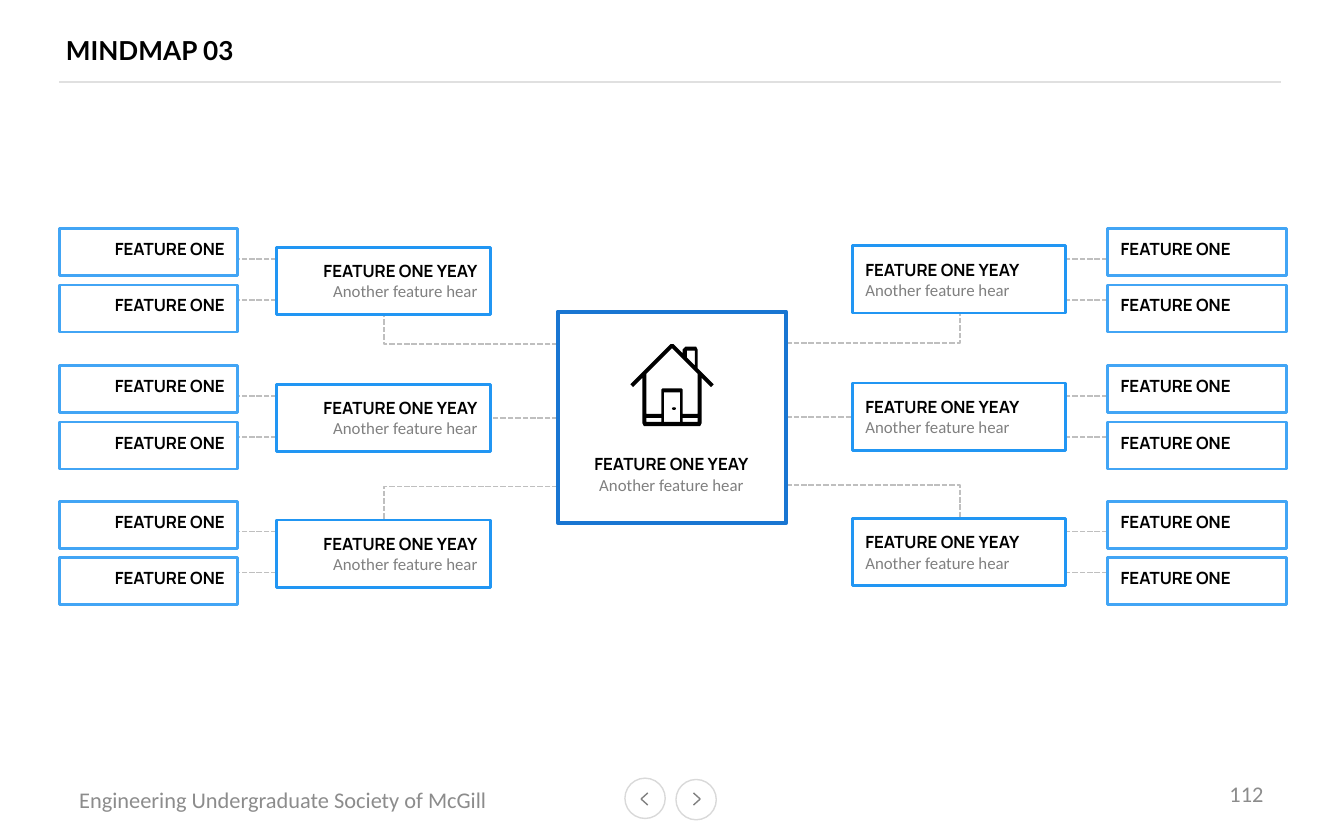
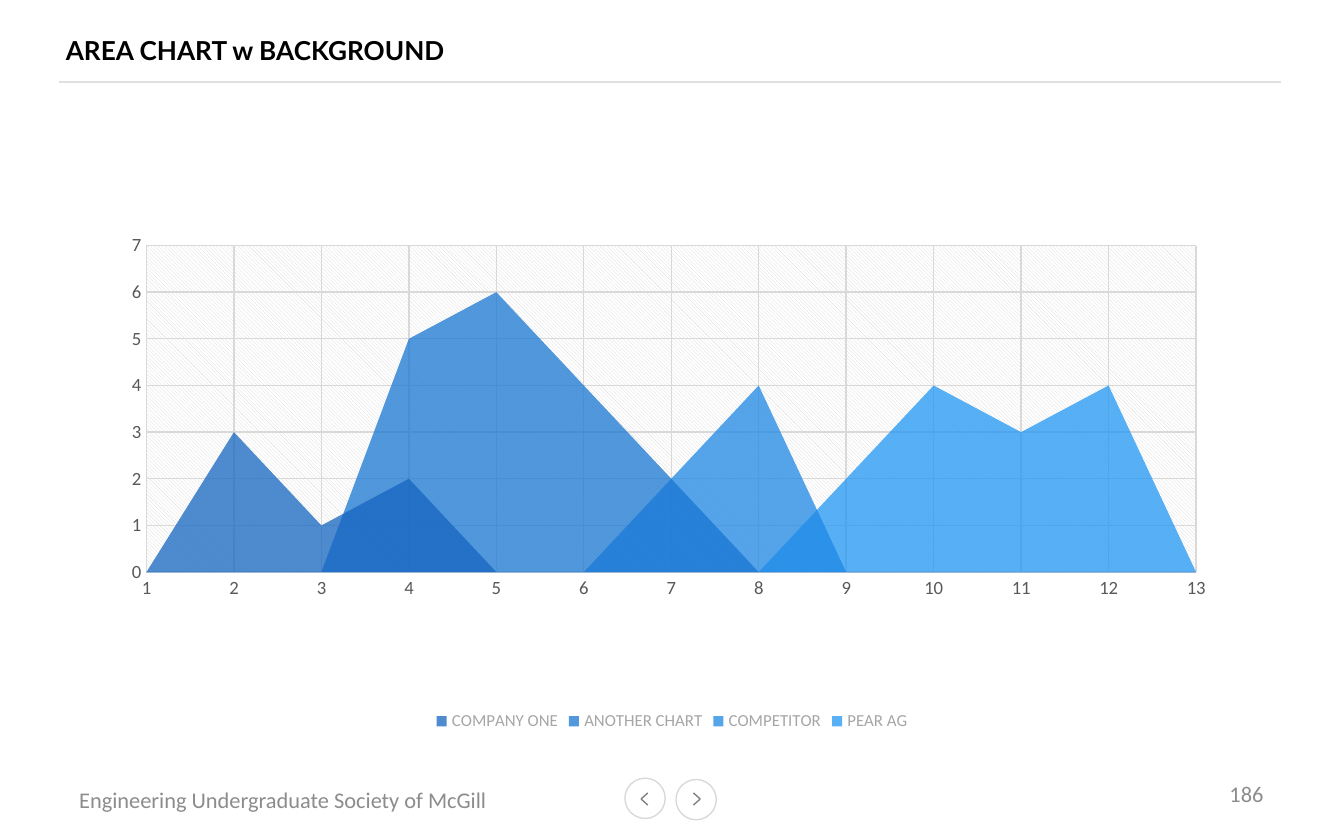
from dataclasses import dataclass

from lxml import etree
from pptx import Presentation
from pptx import util as u
from pptx.chart.data import CategoryChartData
from pptx.dml.color import RGBColor
from pptx.enum import chart as charts, dml, shapes, text
from pptx.oxml import parse_xml
from pptx.oxml.ns import nsdecls, qn


@dataclass(frozen=True)
class Theme:
    black: str = "000000"
    white: str = "FFFFFF"
    rule: str = "E0E0E0"
    grid: str = "D9D9D9"
    link: str = "BFBFBF"
    legend: str = "A6A6A6"
    footer: str = "8C8C8C"
    caption: str = "808080"
    axis: str = "595959"
    hub: str = "1976D2"
    branch: str = "2196F3"
    leaf: str = "42A5F5"
    series: tuple = ("1565C0", "1976D2", "1E88E5", "2196F3")
    title_font: str = "Lato"
    label_font: str = "Manrope"
    body_font: str = "Calibri"
    title_size: int = 14
    footer_size: int = 12
    axis_size: int = 10
    label_size: int = 9


theme = Theme()
rgb = RGBColor.from_string
LEFT, CENTER, RIGHT = text.PP_ALIGN.LEFT, text.PP_ALIGN.CENTER, text.PP_ALIGN.RIGHT
TOP, MIDDLE = text.MSO_ANCHOR.TOP, text.MSO_ANCHOR.MIDDLE


def write(box, lines, align=LEFT, anchor=TOP, inset=(0.1, 0.05), grow=False):
    """Fill a box with lines of (wording, font, size, colour, bold)."""
    frame = box.text_frame
    frame.word_wrap = True
    frame.auto_size = (text.MSO_AUTO_SIZE.SHAPE_TO_FIT_TEXT if grow
                       else text.MSO_AUTO_SIZE.NONE)
    frame.vertical_anchor = anchor
    frame.margin_left = frame.margin_right = u.Inches(inset[0])
    frame.margin_top = frame.margin_bottom = u.Inches(inset[1])
    for index, (wording, font, size, color, bold) in enumerate(lines):
        para = frame.add_paragraph() if index else frame.paragraphs[0]
        para.text = wording
        para.alignment = align
        para.font.name, para.font.size, para.font.bold = font, u.Pt(size), bold
        para.font.color.rgb = rgb(color)


def draw_line(page, start, end, color, width=0.75, dashed=False, bent=False):
    """Draw a line; a bent one leaves the start horizontally and turns once."""
    kind = shapes.MSO_CONNECTOR.ELBOW if bent else shapes.MSO_CONNECTOR.STRAIGHT
    line = page.shapes.add_connector(kind, *map(u.Inches, (*start, *end)))
    line.line.color.rgb = rgb(color)
    line.line.width = u.Pt(width)
    if dashed:
        line.line.dash_style = dml.MSO_LINE.SQUARE_DOT
    properties = line._element.spPr
    if bent:
        properties.find(qn("a:prstGeom")).set("prst", "bentConnector2")
    etree.SubElement(properties, qn("a:effectLst"))


deck = Presentation()
deck.slide_width, deck.slide_height = u.Inches(10), u.Inches(6.25)

# Shared frame: title, rule, footer, arrows and page number
pages = []
for title, number in (("MINDMAP 03", "112"), ("AREA CHART w BACKGROUND", "186")):
    page = deck.slides.add_slide(deck.slide_layouts[6])
    pages.append(page)
    draw_line(page, (9.53, 0.61), (0.44, 0.61), theme.rule)
    for place, wording, font, size, color, align, inset in (
        ((0.49, 0.16, 6.67, 0.43), title, theme.title_font, theme.title_size,
         theme.black, LEFT, (0, 0)),
        ((0.49, 5.8, 3.39, 0.3), "Engineering Undergraduate Society of McGill",
         theme.body_font, theme.footer_size, theme.footer, LEFT, (0.1, 0.05)),
        ((7.17, 5.74, 2.33, 0.33), number, theme.body_font, theme.footer_size,
         theme.footer, RIGHT, (0.1, 0.05)),
    ):
        box = page.shapes.add_textbox(*map(u.Inches, place))
        write(box, [(wording, font, size, color, font == theme.title_font)],
              align, MIDDLE, inset)
    for left, top, tip, tail in ((4.65, 5.79, 4.77, 4.82), (5.03, 5.8, 5.21, 5.16)):
        button = page.shapes.add_shape(
            shapes.MSO_SHAPE.OVAL, *map(u.Inches, (left, top, 0.3, 0.3)))
        button.shadow.inherit = False
        button.fill.solid()
        button.fill.fore_color.rgb = rgb(theme.white)
        button.line.color.rgb = rgb(theme.grid)
        button.line.width = u.Pt(0.75)
        for tail_y in (5.9, 5.99):
            draw_line(page, (tip, 5.945), (tail, tail_y), theme.caption)

mindmap, area_page = pages

# Mind map: rows, and the two mirrored sides
label = ("FEATURE ONE", theme.label_font, theme.label_size, theme.black, True)
feature = [
    ("FEATURE ONE YEAY", *label[1:]),
    ("Another feature hear", theme.body_font, theme.label_size, theme.caption, False),
]
row_tops = (1.7, 2.72, 3.73)
hub_links = (2.56, 3.11, 3.62)
# leaf left, branch left, branch drop, link span, hub edge, link rise, alignment
sides = (
    (0.44, 2.06, 0.14, (2.06, 1.76), 4.15, 0, RIGHT),
    (8.24, 6.34, 0.13, (8.24, 7.94), 5.85, 0.01, LEFT),
)
frames = [((4.15, 2.32, 1.7, 1.57), theme.hub, 2.25, [], CENTER)]
for leaf_left, branch_left, drop, span, hub_edge, rise, align in sides:
    branch_middle = branch_left + 0.8
    inner_edge = 3.66 if hub_edge < 5 else 6.34
    for row, (top, link_y) in enumerate(zip(row_tops, hub_links)):
        branch_top = top + drop
        link_y -= rise
        # Links from the hub: the middle row runs straight, the others turn
        if row == 1:
            end = (inner_edge, link_y)
        else:
            end = (branch_middle, branch_top + 0.5 if row == 0 else branch_top)
        draw_line(mindmap, (hub_edge, link_y), end, theme.link, 1, True, row != 1)
        for offset in (0.225, 0.53):
            draw_line(mindmap, (span[0], top + offset), (span[1], top + offset),
                      theme.link, 1, True)
        frames.append(((branch_left, branch_top, 1.59, 0.5), theme.branch, 1.5,
                       feature, align))
        for leaf_top in (top, top + 0.42):
            frames.append(((leaf_left, leaf_top, 1.33, 0.35), theme.leaf, 1.5,
                           [label], align))

# Mind map: outlined boxes
for place, color, width, lines, align in frames:
    box = mindmap.shapes.add_shape(shapes.MSO_SHAPE.RECTANGLE, *map(u.Inches, place))
    box.shadow.inherit = False
    box.fill.background()
    box.line.color.rgb = rgb(color)
    box.line.width = u.Pt(width)
    if lines:
        write(box, lines, align, inset=(0.1, 0.1), grow=True)

hub_text = mindmap.shapes.add_textbox(*map(u.Inches, (4.2, 3.33, 1.59, 0.4)))
write(hub_text, feature, CENTER, grow=True)

# House icon, in hundredths of an inch: silhouette first, then its openings
house_outlines = (
    ((530, 285), (519, 274), (519, 260), (518, 258), (510, 258), (508, 260),
     (508, 263), (501, 256), (499, 256), (470, 285), (469, 286), (471, 288),
     (472, 287), (478, 281), (478, 315), (479, 317), (521, 317), (522, 315),
     (522, 281), (528, 287), (529, 288), (531, 286)),
    ((511, 261), (517, 261), (517, 272), (511, 266)),
    ((481, 311), (492, 311), (492, 314), (481, 314)),
    ((494, 292), (506, 292), (506, 314), (494, 314)),
    ((508, 311), (519, 311), (519, 314), (508, 314)),
    ((519, 308), (508, 308), (508, 290), (507, 289), (493, 289), (492, 290),
     (492, 308), (481, 308), (481, 278), (500, 259), (519, 278)),
)
pen = mindmap.shapes.build_freeform(*house_outlines[0][0], scale=u.Inches(0.01))
for index, outline in enumerate(house_outlines):
    if index:
        pen.move_to(*outline[0])
    pen.add_line_segments(outline[1:], close=True)
house = pen.convert_to_shape()
knob = mindmap.shapes.add_shape(
    shapes.MSO_SHAPE.OVAL, *map(u.Inches, (5, 3.03, 0.03, 0.02)))
for part in (house, knob):
    part.shadow.inherit = False
    part.fill.solid()
    part.fill.fore_color.rgb = rgb(theme.black)
    part.line.fill.background()

# Area chart: each series is its first category and the values from there
data = CategoryChartData()
data.categories = [str(month) for month in range(1, 14)]
for name, first, values in (
    ("COMPANY ONE", 1, [0, 3, 1, 2, 0]),
    ("ANOTHER CHART", 3, [0, 5, 6, 4, 2, 0]),
    ("COMPETITOR", 6, [0, 2, 4, 0]),
    ("PEAR AG", 8, [0, 2, 4, 3, 4, 0]),
):
    lead = [None] * (first - 1)
    data.add_series(name, lead + values + [None] * (13 - len(lead) - len(values)))
chart = area_page.shapes.add_chart(
    charts.XL_CHART_TYPE.AREA, *map(u.Inches, (0, 1.02, 10, 4.46)), data).chart
chart.has_title = False
chart.font.name, chart.font.size = theme.body_font, u.Pt(theme.axis_size)
chart.font.color.rgb = rgb(theme.black)

# Chart legend
chart.has_legend = True
chart.legend.position = charts.XL_LEGEND_POSITION.BOTTOM
chart.legend.include_in_layout = False
chart.legend.font.name = theme.body_font
chart.legend.font.size = u.Pt(theme.label_size)
chart.legend.font.color.rgb = rgb(theme.legend)

# Chart axes
for axis in (chart.category_axis, chart.value_axis):
    axis.major_tick_mark = axis.minor_tick_mark = charts.XL_TICK_MARK.NONE
    axis.has_major_gridlines = True
    for line in (axis.format.line, axis.major_gridlines.format.line):
        line.color.rgb = rgb(theme.grid)
        line.width = u.Pt(0.75)
    font = axis.tick_labels.font
    font.name, font.size = theme.body_font, u.Pt(theme.axis_size)
    font.color.rgb = rgb(theme.axis)
chart.value_axis.minimum_scale, chart.value_axis.maximum_scale = 0, 7
chart.value_axis.major_unit = 1
chart.value_axis._element.find(qn("c:crossBetween")).set("val", "midCat")

# Chart series, three quarters opaque
for series, color in zip(chart.plots[0].series, theme.series):
    series.format.fill.solid()
    series.format.fill.fore_color.rgb = rgb(color)
    series.format.line.fill.background()
    tint = next(series._element.spPr.iter(qn("a:srgbClr")))
    etree.SubElement(tint, qn("a:alpha")).set("val", "75000")

# Plot area: fixed place and hatched background
plot_area = chart._chartSpace.chart.plotArea
for layout in plot_area.findall(qn("c:layout")):
    plot_area.remove(layout)
settings = (("layoutTarget", "inner"), ("xMode", "edge"), ("yMode", "edge"),
            ("x", 0.109), ("y", 0.181), ("w", 0.781), ("h", 0.545))
layout = etree.Element(qn("c:layout"))
manual = etree.SubElement(layout, qn("c:manualLayout"))
for tag, value in settings:
    etree.SubElement(manual, qn(f"c:{tag}")).set("val", str(value))
plot_area.insert(0, layout)
plot_area.append(parse_xml(
    f'<c:spPr {nsdecls("c", "a")}><a:pattFill prst="ltDnDiag">'
    f'<a:fgClr><a:srgbClr val="{theme.grid}"/></a:fgClr>'
    f'<a:bgClr><a:srgbClr val="{theme.white}"/></a:bgClr></a:pattFill></c:spPr>'))

deck.save("out.pptx")
